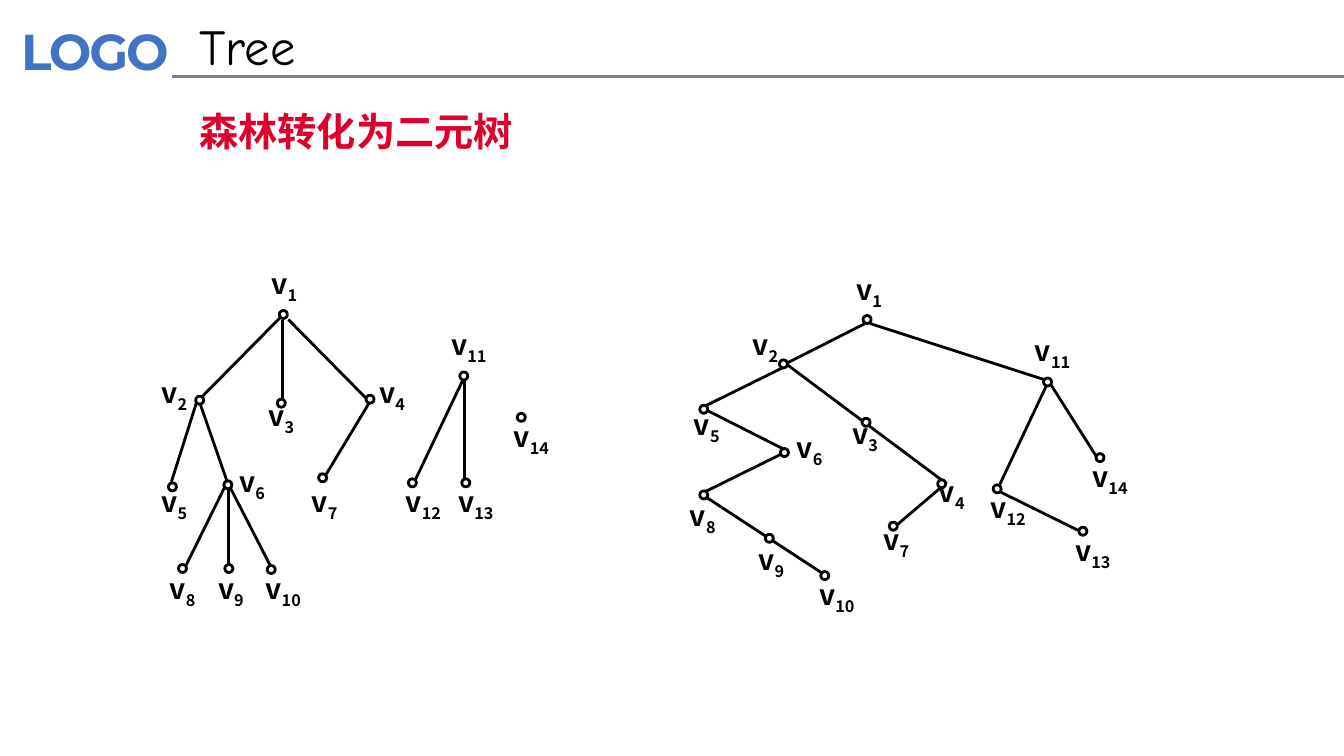
"""Build a slide showing a forest converted into a binary tree."""
import pptx
import pptx.dml.color
import pptx.enum.shapes
import pptx.enum.text
import pptx.util
from lxml import etree
from pptx.oxml.ns import qn
from pptx.util import Inches

COLORS = {"black": "000000", "white": "FFFFFF", "rule": "808080",
          "logo": "4472C4", "heading": "DF0029"}
CJK_FONT = "Noto Sans CJK SC"
DOT_SIZE = 0.08
LINE_WIDTH = 2

# node number: (dot left, dot top, label left, label top)
FOREST_NODES = {
    1: (2.77, 3.08, 2.66, 2.64), 2: (1.94, 3.93, 1.57, 3.73),
    3: (2.75, 3.96, 2.63, 3.95), 4: (3.63, 3.92, 3.73, 3.73),
    5: (1.67, 4.79, 1.57, 4.81), 6: (2.22, 4.77, 2.34, 4.61),
    7: (3.16, 4.70, 3.06, 4.81), 8: (1.77, 5.60, 1.65, 5.67),
    9: (2.23, 5.60, 2.13, 5.67), 10: (2.65, 5.61, 2.61, 5.67),
    11: (4.56, 3.69, 4.45, 3.25), 12: (4.05, 4.75, 4.00, 4.81),
    13: (4.58, 4.75, 4.52, 4.81), 14: (5.13, 4.10, 5.07, 4.16),
}
FOREST_EDGES = [
    (2.78, 3.15, 2.00, 3.94), (2.80, 3.17, 2.80, 3.96),
    (2.86, 3.17, 3.64, 3.96), (1.95, 3.99, 1.70, 4.78),
    (1.99, 4.02, 2.25, 4.77), (3.66, 4.00, 3.19, 4.78),
    (2.23, 4.83, 1.84, 5.62), (2.27, 4.83, 2.27, 5.62),
    (2.28, 4.83, 2.68, 5.61), (4.61, 3.73, 4.11, 4.78),
    (4.61, 3.73, 4.61, 4.81),
]
BINARY_NODES = {
    1: (8.56, 3.13, 8.46, 2.70), 2: (7.73, 3.57, 7.43, 3.25),
    3: (8.55, 4.15, 8.42, 4.13), 4: (9.30, 4.76, 9.28, 4.71),
    5: (6.94, 4.02, 6.85, 4.04), 6: (7.74, 4.45, 7.87, 4.27),
    7: (8.82, 5.18, 8.73, 5.18), 8: (6.94, 4.87, 6.81, 4.95),
    9: (7.59, 5.30, 7.49, 5.38), 10: (8.14, 5.67, 8.10, 5.73),
    11: (10.35, 3.75, 10.24, 3.31), 12: (9.85, 4.81, 9.80, 4.87),
    13: (10.70, 5.23, 10.64, 5.29), 14: (10.87, 4.50, 10.81, 4.56),
}
BINARY_EDGES = [
    (8.58, 3.21, 7.79, 3.61), (8.63, 3.21, 10.40, 3.78),
    (7.78, 3.64, 6.99, 4.03), (7.81, 3.62, 9.39, 4.80),
    (7.01, 4.07, 7.80, 4.47), (7.78, 4.49, 6.99, 4.88),
    (6.97, 4.91, 8.16, 5.69), (9.34, 4.83, 8.87, 5.23),
    (10.40, 3.78, 9.90, 4.84), (10.40, 3.78, 10.90, 4.57),
    (9.90, 4.87, 10.69, 5.26),
]


def rgb(name):
    return pptx.dml.color.RGBColor.from_string(COLORS[name])


def place(shape, left, top, width, height):
    shape.left, shape.top = Inches(left), Inches(top)
    shape.width, shape.height = Inches(width), Inches(height)


def add_span(para, text, size, font, color, bold=True):
    span = para.add_run()
    span.text = text
    span.font.size = pptx.util.Pt(size)
    span.font.name = font
    span.font.bold = bold
    span.font.color.rgb = rgb(color)
    east_asian = etree.SubElement(span.font._element, qn("a:ea"))
    east_asian.set("typeface", font)
    return span


def add_box(shapes, left, top, width, height, margins, wrap=True):
    box = shapes.add_textbox(Inches(left), Inches(top), Inches(width), Inches(height))
    frame = box.text_frame
    frame.word_wrap = wrap
    frame.margin_left = frame.margin_right = Inches(margins[0])
    frame.margin_top = frame.margin_bottom = Inches(margins[1])
    return frame.paragraphs[0]


def add_line(shapes, ends, color):
    line = shapes.add_connector(pptx.enum.shapes.MSO_CONNECTOR.STRAIGHT,
                                *[Inches(value) for value in ends])
    line.line.color.rgb = rgb(color)
    line.line.width = pptx.util.Pt(LINE_WIDTH)
    etree.SubElement(line._element.spPr, qn("a:effectLst"))


def add_dot(shapes, left, top):
    dot = shapes.add_shape(pptx.enum.shapes.MSO_SHAPE.OVAL, Inches(left), Inches(top),
                           Inches(DOT_SIZE), Inches(DOT_SIZE))
    dot.shadow.inherit = False
    dot.fill.solid()
    dot.fill.fore_color.rgb = rgb("white")
    dot.line.color.rgb = rgb("black")
    dot.line.width = pptx.util.Pt(LINE_WIDTH)


def add_label(shapes, number, left, top):
    width, height = (0.32, 0.33) if number < 10 else (0.4, 0.35)
    para = add_box(shapes, left, top, width, height, (0, 0), wrap=False)
    para.alignment = pptx.enum.text.PP_ALIGN.CENTER
    add_span(para, "v", 20, CJK_FONT, "black")
    subscript = add_span(para, str(number), 20, CJK_FONT, "black")
    subscript.font._element.set("baseline", "-25000")


def add_tree(page, nodes, edges):
    shapes = page.shapes.add_group_shape().shapes
    for ends in edges:
        add_line(shapes, ends, "black")
    for number, (dot_left, dot_top, label_left, label_top) in nodes.items():
        add_dot(shapes, dot_left, dot_top)
        add_label(shapes, number, label_left, label_top)


def main():
    deck = pptx.Presentation()
    deck.slide_width, deck.slide_height = Inches(13.33), Inches(7.5)
    page = deck.slides.add_slide(deck.slide_layouts[5])

    logo = add_box(page.shapes, 0.08, 0.13, 1.86, 0.74, (0.13, 0.07), wrap=False)
    logo_span = add_span(logo, "LOGO", 36, "Montserrat", "logo")
    logo_span.font._element.set("spc", "-150")
    add_line(page.shapes, (1.71, 0.76, 13.33, 0.76), "rule")

    title = page.shapes.title
    place(title, 1.88, 0.1, 8.62, 0.71)
    title.text_frame.auto_size = pptx.enum.text.MSO_AUTO_SIZE.NONE
    title.text_frame.vertical_anchor = pptx.enum.text.MSO_ANCHOR.TOP
    title_para = title.text_frame.paragraphs[0]
    title_para.alignment = pptx.enum.text.PP_ALIGN.LEFT
    add_span(title_para, "Tree", 36, "Comic Neue", "black", bold=False)

    heading = add_box(page.shapes, 1.88, 1.02, 7.7, 0.57, (0.1, 0.05))
    add_span(heading, "森林转化为二元树", 28, CJK_FONT, "heading")

    add_tree(page, FOREST_NODES, FOREST_EDGES)
    add_tree(page, BINARY_NODES, BINARY_EDGES)
    deck.save("out.pptx")


if __name__ == "__main__":
    main()
